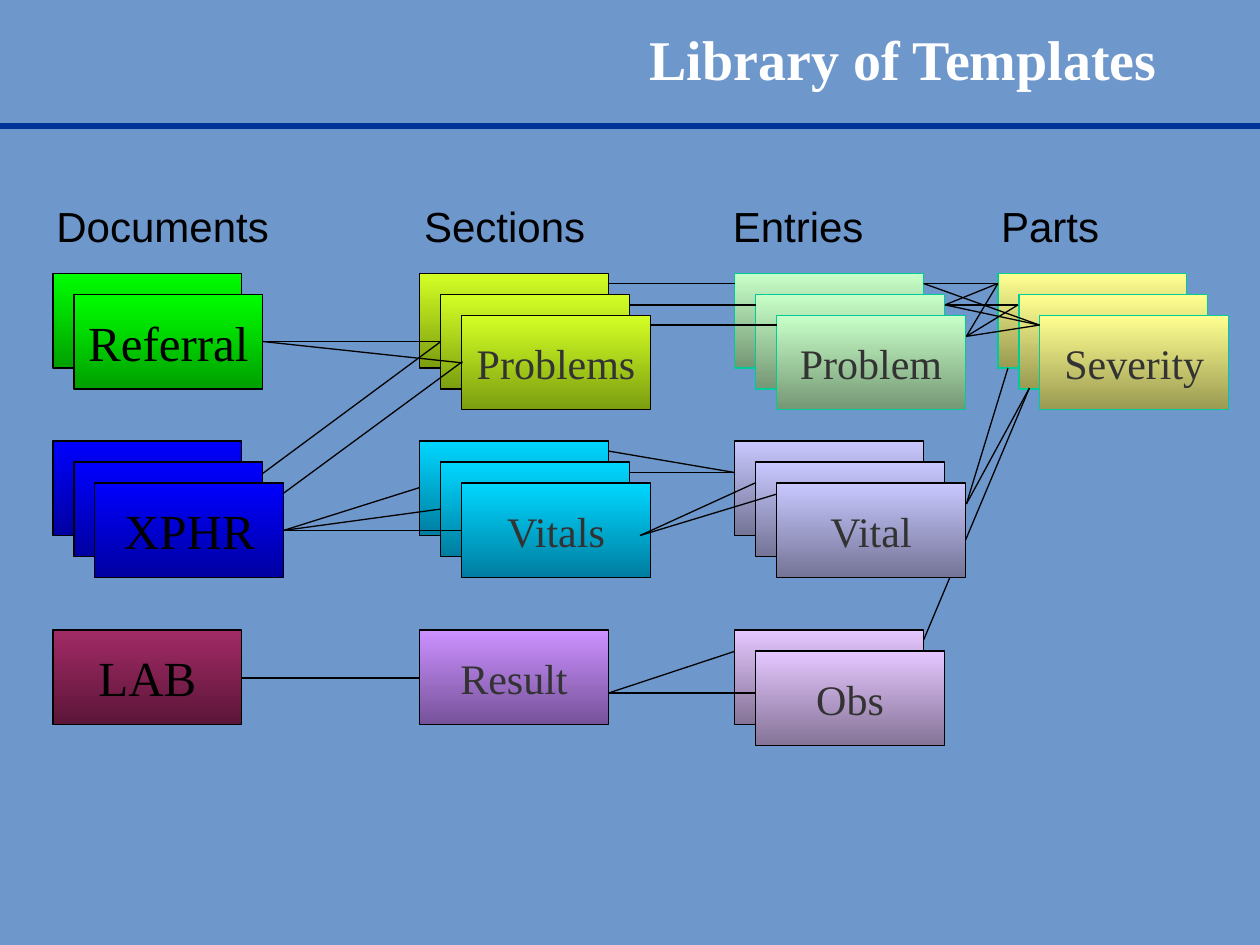
import pptx
import pptx.dml.color
import pptx.enum.shapes
import pptx.enum.text
import pptx.oxml.ns
import pptx.util
from lxml import etree
from pptx.util import Inches

COLORS = {
    "background": "6E97CC", "rule": "003399", "title": "FFFFFF",
    "ink": "000000", "soft": "333333", "teal": "00CC99",
}
# Card gradients, from bottom to top
GRADIENTS = {
    "Referral": ("00A000", "00FF00"), "XPHR": ("0000A0", "0000FF"),
    "LAB": ("5C1538", "A12B66"), "Problems": ("7B9E10", "D4FF24"),
    "Vitals": ("007DA0", "00D7FF"), "Result": ("76529A", "CC91FF"),
    "Problem": ("749774", "C8FFC8"), "Vital": ("747497", "C8C8FF"),
    "Obs": ("857397", "E5C7FF"), "Severity": ("9A9A52", "FFFF91"),
}
SERIF, SANS = "Times New Roman", "Arial"
CARD_WIDTH, CARD_HEIGHT, STEP = 1.5, 0.75, 1 / 6
DOCUMENTS, SECTIONS, ENTRIES, PARTS = 0.42, 3.33, 5.83, 7.92
ROWS = (2.17, 3.5, 5)

# Label, column, row, number of cards, cards lying above the links
STACKS = [
    ("Referral", DOCUMENTS, 0, 2, 1), ("XPHR", DOCUMENTS, 1, 3, 2),
    ("LAB", DOCUMENTS, 2, 1, 0),
    ("Problems", SECTIONS, 0, 3, 0), ("Vitals", SECTIONS, 1, 3, 0),
    ("Result", SECTIONS, 2, 1, 0),
    ("Problem", ENTRIES, 0, 3, 0), ("Vital", ENTRIES, 1, 3, 1),
    ("Obs", ENTRIES, 2, 2, 0),
    ("Severity", PARTS, 0, 3, 0),
]

# Each starting point with the points it links to
LINKS = [
    # Documents to sections
    ((2.08, 2.71), [(3.5, 2.71), (3.67, 2.88)]),
    ((1.92, 3.88), [(3.5, 2.71)]),
    ((2.08, 4.04), [(3.67, 2.87)]),
    ((2.25, 4.21), [(3.33, 3.87), (3.5, 4.04), (3.67, 4.21)]),
    ((1.92, 5.38), [(3.33, 5.38)]),
    # Sections to entries
    ((4.83, 2.25), [(5.83, 2.25)]),
    ((5, 2.42), [(6, 2.42)]),
    ((5.17, 2.58), [(6.17, 2.58)]),
    ((4.83, 3.58), [(5.83, 3.75)]),
    ((5, 3.75), [(5.83, 3.75)]),
    ((5.08, 4.25), [(6, 3.83), (6.17, 3.92)]),
    ((4.83, 5.5), [(5.83, 5.17), (6, 5.5)]),
    # Entries to parts
    ((7.33, 2.25), [(7.92, 2.25), (8.25, 2.58)]),
    ((7.5, 2.42), [(7.92, 2.25), (8.08, 2.42), (8.25, 2.58)]),
    ((7.67, 2.67), [(7.92, 2.25), (8.08, 2.42), (8.25, 2.58)]),
    ((7.67, 4), [(8, 2.92), (8.17, 3.08)]),
    ((7.33, 5.08), [(8.17, 3.08)]),
]

# Heading, left, width
HEADINGS = [
    ("Documents", 0.33, 1.92), ("Sections", 3.17, 1.67),
    ("Entries", 5.5, 1.67), ("Parts", 7.5, 1.67),
]


def rgb(name):
    return pptx.dml.color.RGBColor.from_string(COLORS.get(name, name))


def write(shape, text, size=24, font=SERIF, color="ink", bold=False, wrap=True):
    frame = shape.text_frame
    frame.word_wrap = wrap
    frame.vertical_anchor = pptx.enum.text.MSO_ANCHOR.MIDDLE
    paragraph = frame.paragraphs[0]
    paragraph.alignment = pptx.enum.text.PP_ALIGN.CENTER
    run = paragraph.add_run()
    run.text = text
    run.font.size = pptx.util.Pt(size)
    run.font.name = font
    run.font.bold = bold
    run.font.color.rgb = rgb(color)


def add_label(slide, text, left, top, width, height, **style):
    label = slide.shapes.add_textbox(
        Inches(left), Inches(top), Inches(width), Inches(height))
    write(label, text, **style)


def add_line(slide, start, end, color="ink", width=0.75):
    line = slide.shapes.add_connector(
        pptx.enum.shapes.MSO_CONNECTOR.STRAIGHT,
        *(Inches(value) for value in (*start, *end)))
    line.line.color.rgb = rgb(color)
    line.line.width = pptx.util.Pt(width)
    etree.SubElement(line._element.spPr, pptx.oxml.ns.qn("a:effectLst"))


def add_card(slide, left, top, gradient, outline):
    card = slide.shapes.add_shape(
        pptx.enum.shapes.MSO_SHAPE.RECTANGLE, Inches(left), Inches(top),
        Inches(CARD_WIDTH), Inches(CARD_HEIGHT))
    card.shadow.inherit = False
    card.fill.gradient()
    card.fill.gradient_angle = 90
    for stop, color, position in zip(card.fill.gradient_stops, gradient, (0, 1)):
        stop.color.rgb = rgb(color)
        stop.position = position
    card.line.color.rgb = rgb(outline)
    card.line.width = pptx.util.Pt(0.75)
    return card


def add_stack(slide, stack, raised):
    label, column, row, count, raised_count = stack
    split = count - raised_count
    outline = "teal" if label in ("Problem", "Severity") else "ink"
    for index in range(split, count) if raised else range(split):
        card = add_card(slide, column + index * STEP, ROWS[row] + index * STEP,
                        GRADIENTS[label], outline)
        if index == count - 1:
            is_document = column == DOCUMENTS
            write(card, label, size=28 if is_document else 24,
                  color="ink" if is_document else "soft", wrap=False)


def main():
    deck = pptx.Presentation()
    deck.slide_width, deck.slide_height = Inches(10), Inches(7.5)
    slide = deck.slides.add_slide(deck.slide_layouts[6])
    slide.background.fill.solid()
    slide.background.fill.fore_color.rgb = rgb("background")

    # Title band
    add_line(slide, (0, 1), (10, 1), color="rule", width=3)
    add_label(slide, "Library of Templates", 4.42, 0, 5.5, 0.92,
              size=32, color="title", bold=True)

    # Column headings
    for heading, left, width in HEADINGS:
        add_label(slide, heading, left, 1.58, width, 0.42, font=SANS)

    # Cards below the links, the links, then the cards above them
    for stack in STACKS:
        add_stack(slide, stack, raised=False)
    for start, ends in LINKS:
        for end in ends:
            add_line(slide, start, end)
    for stack in STACKS:
        add_stack(slide, stack, raised=True)

    deck.save("out.pptx")


if __name__ == "__main__":
    main()
